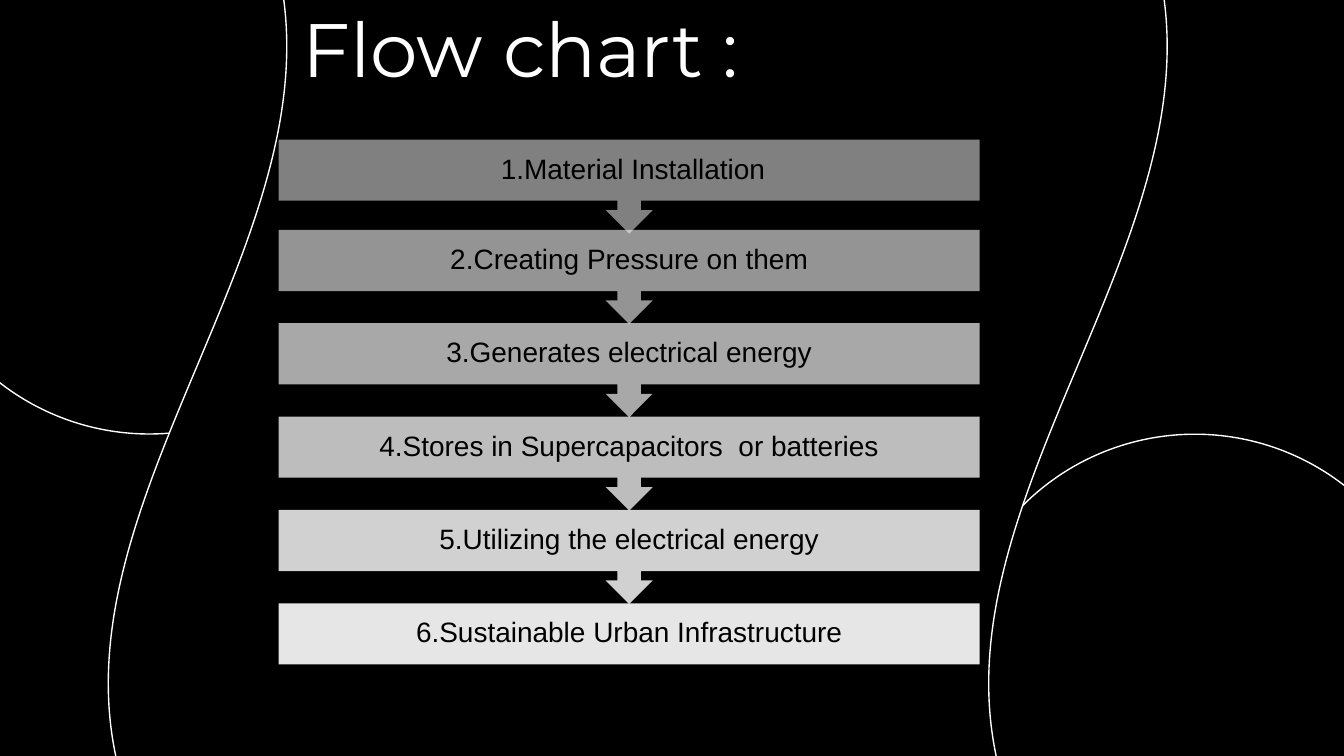
from lxml import etree
from pptx import Presentation
from pptx.dml.color import RGBColor
from pptx.enum import shapes, text
from pptx.oxml.ns import qn
from pptx.util import Pt

# Content
TITLE = "Flow chart :"
STEPS = [  # wording, opacity in percent
    (" 1.Material Installation", 50),
    ("2.Creating Pressure on them", 58),
    ("3.Generates electrical energy", 66),
    ("4.Stores in Supercapacitors  or batteries", 74),
    ("5.Utilizing the electrical energy", 82),
    ("6.Sustainable Urban Infrastructure", 90),
]
COLORS = {"ground": "000000", "light": "FFFFFF", "step text": "000000"}

# Layout, in points
CIRCLE = 260.6
CIRCLES = [(509.8, 232.6), (-50.4, -28.1)]
WAVE = (46.1, -90, 591.1, 571)
TITLE_BOX = (154.8, -3.6, 375.8, 60.5)
STEP_LEFT, STEP_WIDTH = 149.3, 375.6
BAR_HEIGHT, CALLOUT_HEIGHT = 32.8, 50.4
STEP_PITCH, LAST_TOP = 50, 323.2
FIRST_SHIFT = 1.6  # the first step sits slightly closer to the second


def color(name):
    return RGBColor.from_string(COLORS[name])


def add_shape(kind, left, top, width, height, fill):
    shape = slide.shapes.add_shape(kind, Pt(left), Pt(top), Pt(width), Pt(height))
    shape.shadow.inherit = False
    shape.fill.solid()
    shape.fill.fore_color.rgb = color(fill)
    shape.line.fill.background()
    return shape


def add_outline(shape):
    shape.line.color.rgb = color("light")
    shape.line.width = Pt(0.75)


def set_opacity(shape, percent):
    tint = shape.fill._xPr.find(qn("a:solidFill"))[0]
    etree.SubElement(tint, qn("a:alpha")).set("val", str(percent * 1000))


def write(shape, words, font, size, ink, anchor, inset):
    frame = shape.text_frame
    frame.word_wrap = True
    frame.vertical_anchor = anchor
    frame.margin_left = frame.margin_right = Pt(inset)
    frame.margin_top = frame.margin_bottom = Pt(inset)
    line = frame.paragraphs[0]
    line.text = words
    line.font.name = font
    line.font.size = Pt(size)
    line.font.color.rgb = color(ink)
    return line


deck = Presentation()
deck.slide_width, deck.slide_height = Pt(720), Pt(405)
slide = deck.slides.add_slide(deck.slide_layouts[6])
slide.background.fill.solid()
slide.background.fill.fore_color.rgb = color("ground")

# Backdrop: two circles partly covered by an upright wave
for left, top in CIRCLES:
    add_outline(add_shape(shapes.MSO_SHAPE.OVAL, left, top, CIRCLE, CIRCLE, "ground"))
wave = add_shape(shapes.MSO_SHAPE.WAVE, *WAVE, "ground")
wave.rotation = 90
wave.adjustments[0] = 0.087
wave.adjustments[1] = 0
add_outline(wave)

# Title
title = slide.shapes.add_textbox(*map(Pt, TITLE_BOX))
write(title, TITLE, "Montserrat", 40.5, "light", text.MSO_ANCHOR.BOTTOM, 7.2)

# Steps, from the last up, so each arrow lies over the bar below it
last = len(STEPS) - 1
for i, (words, opacity) in reversed(list(enumerate(STEPS))):
    top = LAST_TOP - (last - i) * STEP_PITCH + (FIRST_SHIFT if i == 0 else 0)
    if i == last:
        kind, height = shapes.MSO_SHAPE.RECTANGLE, BAR_HEIGHT
    else:
        kind, height = shapes.MSO_SHAPE.DOWN_ARROW_CALLOUT, CALLOUT_HEIGHT
    step = add_shape(kind, STEP_LEFT, top, STEP_WIDTH, height, "light")
    set_opacity(step, opacity)
    line = write(step, words, "Arial", 15, "step text", text.MSO_ANCHOR.MIDDLE, 8.5)
    line.alignment = text.PP_ALIGN.CENTER
    line.line_spacing = 0.9

deck.save("out.pptx")
